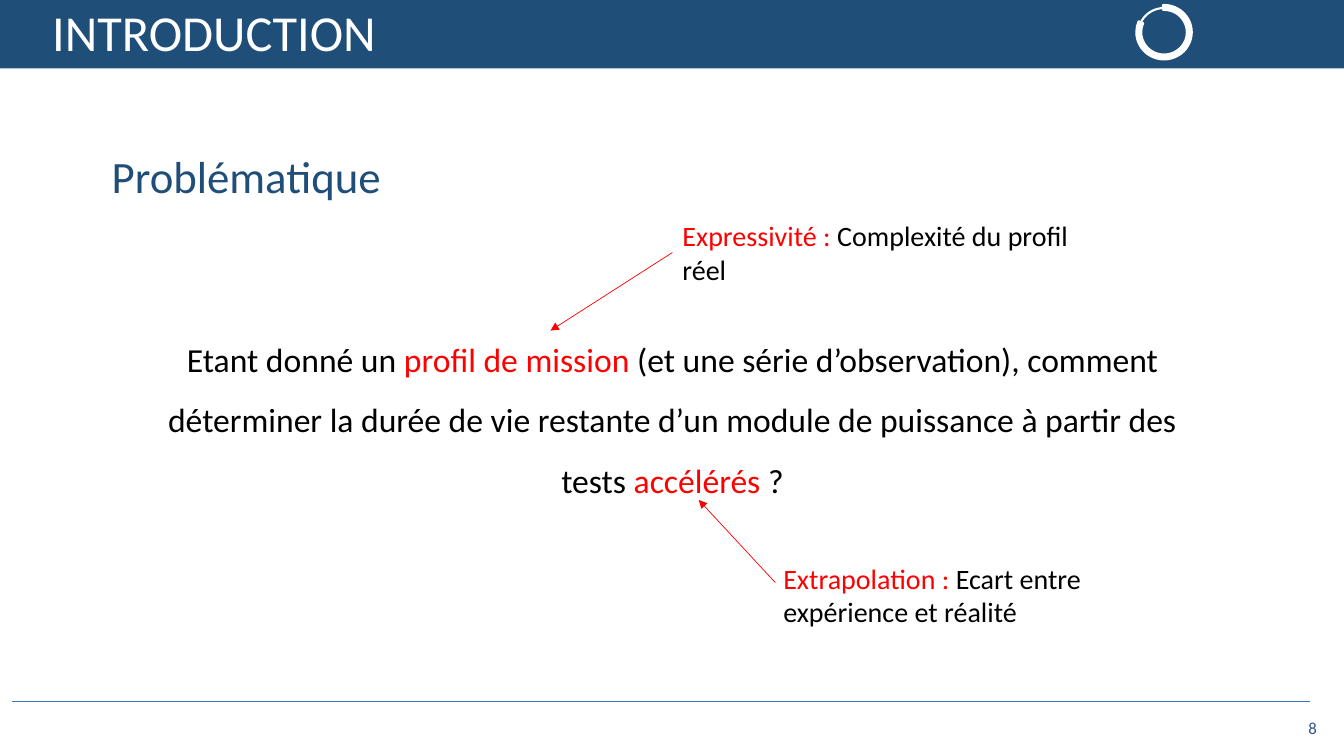
from pptx import Presentation
from pptx.dml.color import RGBColor
from pptx.enum.shapes import MSO_CONNECTOR, MSO_SHAPE
from pptx.enum.text import MSO_ANCHOR, PP_ALIGN
from pptx.oxml.ns import qn
from pptx.util import Inches, Pt
from lxml.etree import SubElement

WHITE = RGBColor(0xFF, 0xFF, 0xFF)
BLACK = RGBColor(0, 0, 0)
RED = RGBColor(0xFF, 0, 0)
NAVY = RGBColor(0x1F, 0x4E, 0x79)
BLUE = RGBColor(0x2F, 0x55, 0x97)
RULE = RGBColor(0x44, 0x72, 0xC4)


class Page:
    """Draw styled elements on one slide."""

    font = "Calibri"

    def __init__(self, slide):
        self.shapes = slide.shapes

    def shape(self, kind, area, fill=None, line=None):
        item = self.shapes.add_shape(kind, *map(Inches, area))
        item.shadow.inherit = False
        if fill is None:
            item.fill.background()
        else:
            item.fill.solid()
            item.fill.fore_color.rgb = fill
        if line is None:
            item.line.fill.background()
        else:
            item.line.color.rgb = line
            item.line.width = Pt(1.5)
        return item

    def text(self, area, parts, size, align=PP_ALIGN.LEFT, space=1.0,
             anchor=MSO_ANCHOR.TOP):
        box = self.shapes.add_textbox(*map(Inches, area))
        frame = box.text_frame
        frame.word_wrap = True
        frame.vertical_anchor = anchor
        para = frame.paragraphs[0]
        para.alignment = align
        para.line_spacing = space
        for words, color in parts:
            run = para.add_run()
            run.text = words
            run.font.name = self.font
            run.font.size = Pt(size)
            run.font.color.rgb = color
        return box

    def line(self, start, end, color, arrow=False):
        item = self.shapes.add_connector(
            MSO_CONNECTOR.STRAIGHT, *map(Inches, start + end))
        item.line.color.rgb = color
        item.line.width = Pt(0.5)
        if arrow:
            SubElement(item.line._get_or_add_ln(), qn("a:tailEnd"), type="triangle")
        SubElement(item._element.spPr, qn("a:effectLst"))
        return item

    def ring(self):
        arc = self.shape(MSO_SHAPE.BLOCK_ARC, (11.27, 0.05, 0.55, 0.54), WHITE, WHITE)
        for index, value in enumerate((202.08, 163.31, 0.09)):
            arc.adjustments[index] = value
        arc._element.spPr.xfrm.set("flipH", "1")
        self.shape(MSO_SHAPE.OVAL, (11.29, 0.08, 0.51, 0.5), line=WHITE)

    def note(self, left, top, label, words):
        return self.text((left, top, 4.18, 0.77), [(label, RED), (words, BLACK)], 20)


def main():
    deck = Presentation()
    deck.slide_width = Inches(13.33)
    deck.slide_height = Inches(7.5)
    page = Page(deck.slides.add_slide(deck.slide_layouts[6]))

    page.line((0.12, 6.96), (12.99, 6.96), RULE)
    page.shape(MSO_SHAPE.RECTANGLE, (0, 0, 13.33, 0.68), NAVY)
    page.text((0.42, 0.05, 11.67, 0.59), [("INTRODUCTION", WHITE)], 36,
              space=0.9, anchor=MSO_ANCHOR.MIDDLE)
    page.text((10.16, 7.02, 3, 0.4), [("8", BLUE)], 12,
              align=PP_ALIGN.RIGHT, anchor=MSO_ANCHOR.MIDDLE)
    page.ring()

    page.text((1.01, 0.89, 7.03, 1.03), [("Problématique", NAVY)], 32, space=2.0)
    page.text((1.5, 3.11, 10.34, 1.86), [
        ("Etant donné un ", BLACK),
        ("profil de mission ", RED),
        ("(et une série d’observation), comment déterminer la durée de vie "
         "restante d’un module de puissance à partir des tests ", BLACK),
        ("accélérés", RED),
        (" ?", BLACK),
    ], 24, align=PP_ALIGN.CENTER, space=1.5)

    profile = page.note(6.67, 2.12, "Expressivité : ", "Complexité du profil réel")
    page.note(7.67, 5.52, "Extrapolation : ", "Ecart entre expérience et réalité")
    arrow = page.line((6.67, 2.51), (5.46, 3.28), RED, arrow=True)
    arrow.begin_connect(profile, 1)
    page.line((7.69, 5.78), (6.93, 4.96), RED, arrow=True)

    deck.save("out.pptx")


if __name__ == "__main__":
    main()
